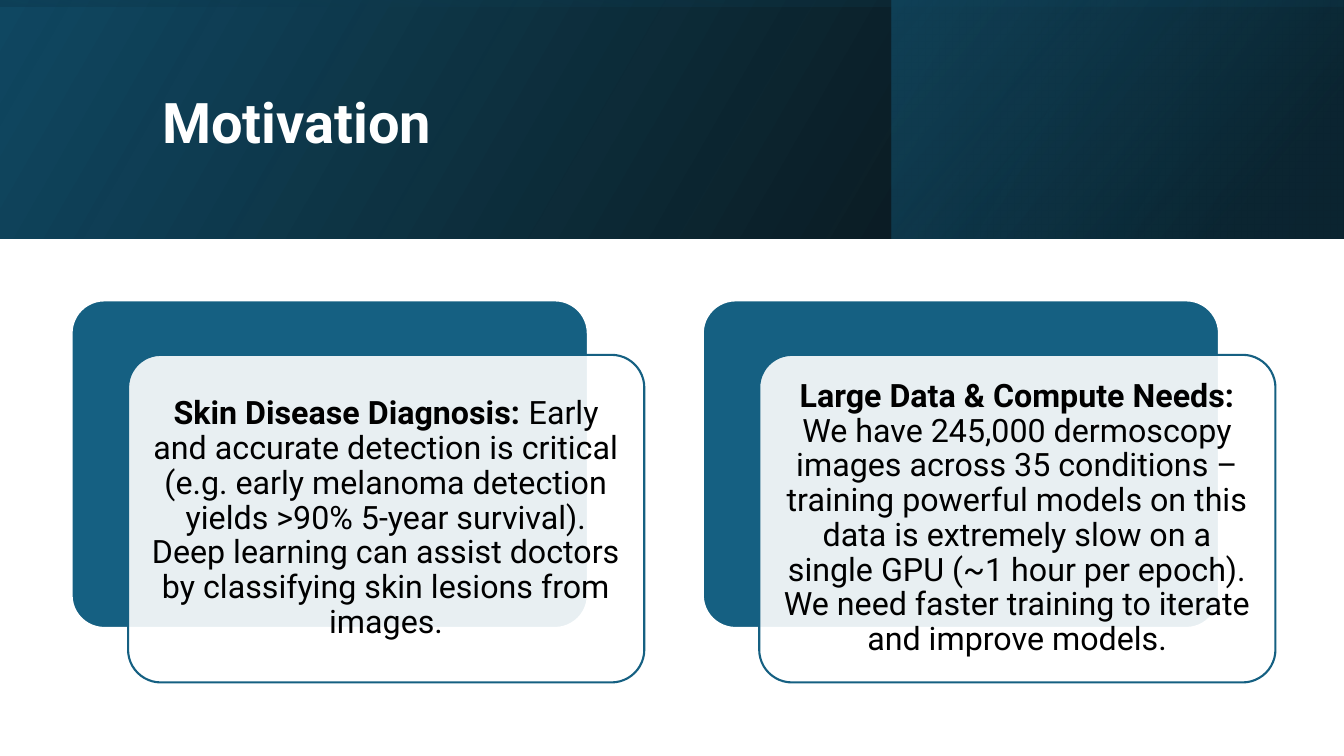
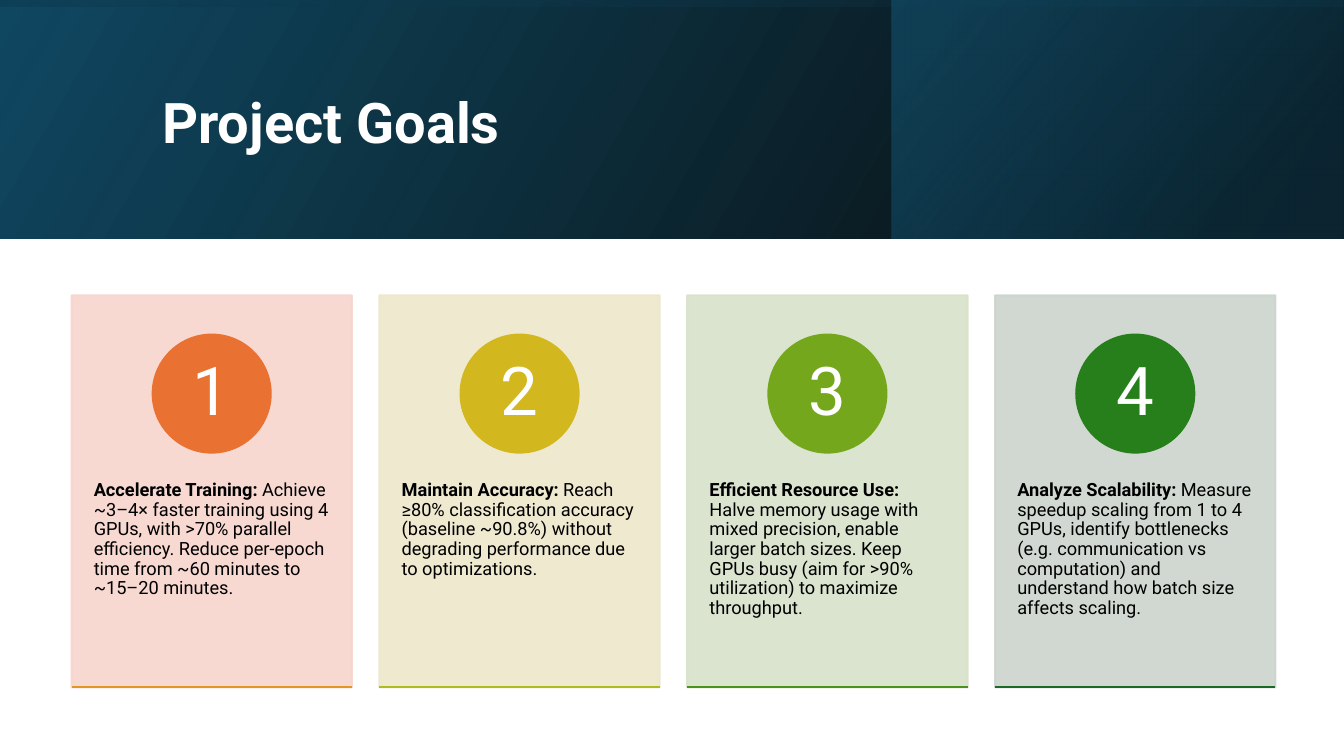
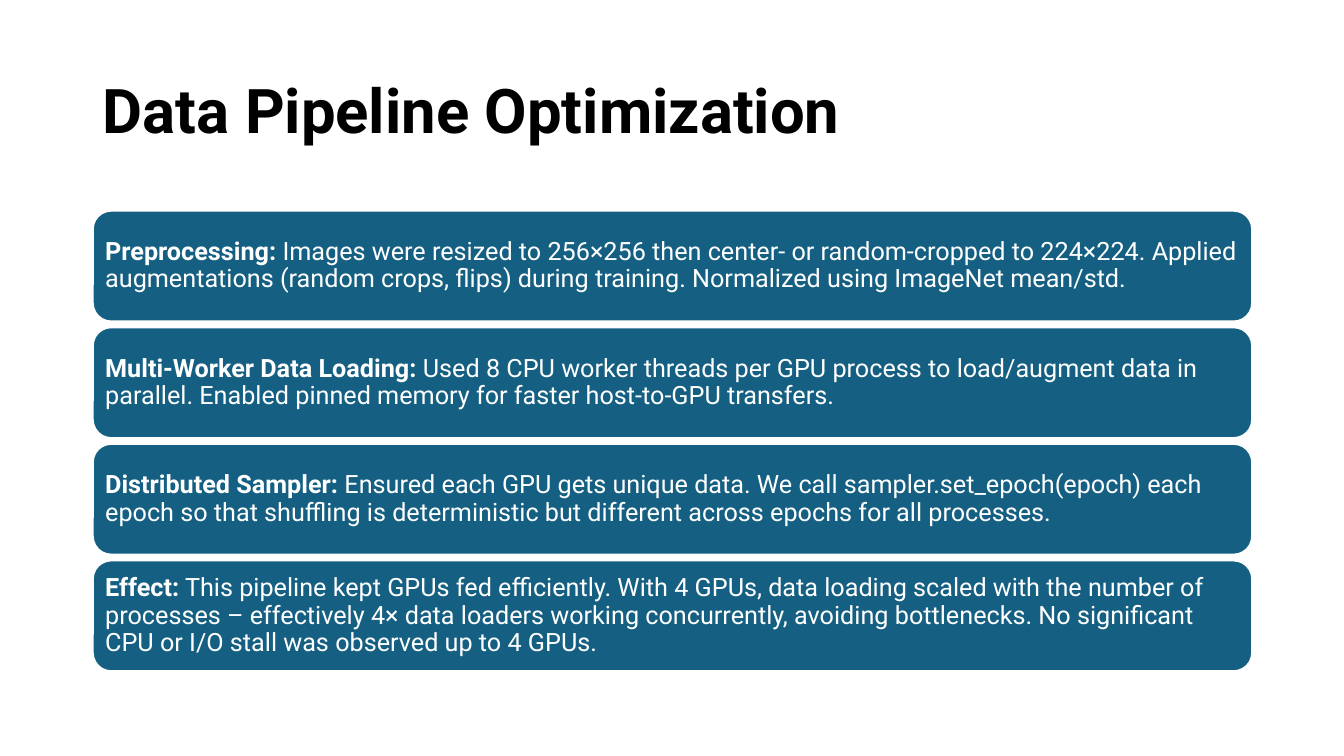
from pptx import Presentation
from pptx.dml.color import RGBColor
from pptx.enum.shapes import MSO_CONNECTOR as Connector, MSO_SHAPE as Preset
from pptx.enum.text import MSO_ANCHOR as Anchor, MSO_AUTO_SIZE as AutoSize, PP_ALIGN as Align
from pptx.oxml.ns import qn
from pptx.util import Inches, Pt
from lxml import etree

FONT = "Roboto"
TEAL, DEEP_TEAL, NAVY = "156082", "104862", "0B3041"
WHITE, BLACK = "FFFFFF", "000000"
SLIDE_WIDTH, SLIDE_HEIGHT, BAND_HEIGHT = 13.33, 7.5, 2.37
LINE_WIDTH = 1.5

# box, rotation, drawing angle, stops as (position, colour, opacity)
BANDS = [
    ((0, 0, SLIDE_WIDTH, BAND_HEIGHT), 0, 330,
     [(0, BLACK, 96), (100, DEEP_TEAL, None)]),
    ((8.84, 0, 4.48, BAND_HEIGHT), 0, 320,
     [(19, NAVY, 68), (100, TEAL, 48)]),
    ((5.48, -5.48, BAND_HEIGHT, SLIDE_WIDTH), 270, 350,
     [(23, DEEP_TEAL, 16), (99, BLACK, 45)]),
]

MOTIVATIONS = [
    ("Skin Disease Diagnosis:",
     " Early and accurate detection is critical (e.g. early melanoma detection yields "
     ">90% 5-year survival). Deep learning can assist doctors by classifying skin "
     "lesions from images."),
    ("Large Data & Compute Needs:",
     " We have 245,000 dermoscopy images across 35 conditions – training powerful "
     "models on this data is extremely slow on a single GPU (~1 hour per epoch). "
     "We need faster training to iterate and improve models."),
]

# heading, detail, card colour, badge colour, rule colour
GOALS = [
    ("Accelerate Training:",
     " Achieve ~3–4× faster training using 4 GPUs, with >70% parallel efficiency. "
     "Reduce per-epoch time from ~60 minutes to ~15–20 minutes.",
     "F7D5CE", "E97132", "E49622"),
    ("Maintain Accuracy:",
     " Reach ≥80% classification accuracy (baseline ~90.8%) without degrading "
     "performance due to optimizations.",
     "EEE7CB", "D2B81E", "ABBC1E"),
    ("Efficient Resource Use:",
     " Halve memory usage with mixed precision, enable larger batch sizes. Keep GPUs "
     "busy (aim for >90% utilization) to maximize throughput.",
     "D8E2CA", "75A71D", "49931D"),
    ("Analyze Scalability:",
     " Measure speedup scaling from 1 to 4 GPUs, identify bottlenecks (e.g. "
     "communication vs computation) and understand how batch size affects scaling.",
     "CCD4CD", "277F1B", "196B24"),
]

PIPELINE_STEPS = [
    ("Preprocessing:",
     " Images were resized to 256×256 then center- or random-cropped to 224×224. "
     "Applied augmentations (random crops, flips) during training. Normalized using "
     "ImageNet mean/std."),
    ("Multi-Worker Data Loading:",
     " Used 8 CPU worker threads per GPU process to load/augment data in parallel. "
     "Enabled pinned memory for faster host-to-GPU transfers."),
    ("Distributed Sampler:",
     " Ensured each GPU gets unique data. We call sampler.set_epoch(epoch) each epoch "
     "so that shuffling is deterministic but different across epochs for all processes."),
    ("Effect:",
     " This pipeline kept GPUs fed efficiently. With 4 GPUs, data loading scaled with "
     "the number of processes – effectively 4× data loaders working concurrently, "
     "avoiding bottlenecks. No significant CPU or I/O stall was observed up to 4 GPUs."),
]


def rgb(hex_colour):
    return RGBColor.from_string(hex_colour)


def apply(target, values):
    for name, value in values.items():
        setattr(target, name, value)


def set_opacity(shape, *percents):
    """Set opacity on the shape's colours in order: fill or stops, then line."""
    for colour, percent in zip(shape.element.spPr.iter(qn("a:srgbClr")), percents):
        if percent is not None:
            etree.SubElement(colour, qn("a:alpha"), val=str(percent * 1000))


class Deck:
    def __init__(self):
        self.prs = Presentation()
        self.prs.slide_width = Inches(SLIDE_WIDTH)
        self.prs.slide_height = Inches(SLIDE_HEIGHT)
        self.slide = None

    def add_slide(self):
        self.slide = self.prs.slides.add_slide(self.prs.slide_layouts[5])

    def set_text(self, shape, runs, size, colour, align=Align.LEFT, anchor=Anchor.MIDDLE,
                 insets=(0.1, 0.05, 0.05)):
        """Fill a shape with one paragraph; runs are (text, bold), insets (side, top, bottom)."""
        side, top, bottom = map(Inches, insets)
        frame = shape.text_frame
        apply(frame, {"word_wrap": True, "auto_size": AutoSize.NONE,
                      "vertical_anchor": anchor, "margin_left": side,
                      "margin_right": side, "margin_top": top, "margin_bottom": bottom})
        paragraph = frame.paragraphs[0]
        apply(paragraph, {"alignment": align, "line_spacing": 0.9})
        for text, bold in runs:
            run = paragraph.add_run()
            run.text = text
            apply(run.font, {"name": FONT, "size": Pt(size), "bold": bold})
            run.font.color.rgb = rgb(colour)

    def title(self, text, box, size, colour):
        title = self.slide.shapes.title
        apply(title, dict(zip(("left", "top", "width", "height"), map(Inches, box))))
        self.set_text(title, [(text, True)], size, colour)
        title.element.getparent().append(title.element)  # in front of the bands

    def shape(self, preset, box, fill, line):
        shape = self.slide.shapes.add_shape(preset, *map(Inches, box))
        shape.shadow.inherit = False
        shape.fill.solid()
        shape.fill.fore_color.rgb = rgb(fill)
        shape.line.color.rgb = rgb(line)
        shape.line.width = Pt(LINE_WIDTH)
        return shape

    def band(self, box, rotation, angle, stops):
        band = self.slide.shapes.add_shape(Preset.RECTANGLE, *map(Inches, box))
        band.shadow.inherit = False
        band.rotation = rotation
        band.element.spPr.xfrm.set("flipH", "1")
        band.line.fill.background()
        band.fill.gradient()
        band.fill.gradient_angle = 360 - angle
        for stop, (position, colour, _) in zip(band.fill.gradient_stops, stops):
            stop.position = position / 100
            stop.color.rgb = rgb(colour)
        set_opacity(band, *(opacity for _, _, opacity in stops))

    def rule(self, left, top, width, colour):
        rule = self.slide.shapes.add_connector(
            Connector.STRAIGHT, *map(Inches, (left, top, left + width, top)))
        rule.line.color.rgb = rgb(colour)
        rule.line.width = Pt(LINE_WIDTH)
        etree.SubElement(rule.element.spPr, qn("a:effectLst"))

    def banded_slide(self, title):
        self.add_slide()
        for band in BANDS:
            self.band(*band)
        self.title(title, (1.51, 0.38, 10.63, 1.72), 40, WHITE)

    def motivation_card(self, left, top, heading, detail):
        width, height = 5.12, 3.25
        back = self.shape(Preset.ROUNDED_RECTANGLE, (left, top, width, height), TEAL, WHITE)
        front = self.shape(Preset.ROUNDED_RECTANGLE,
                           (left + 0.56, top + 0.54, width, height), WHITE, TEAL)
        for panel in (back, front):
            panel.adjustments[0] = 0.1
        set_opacity(front, 90)
        self.set_text(front, [(heading, True), (detail, False)], 23, BLACK,
                      align=Align.CENTER, insets=(0.1, 0.1, 0.1))

    def goal_card(self, left, number, heading, detail, tint, badge_colour, rule_colour):
        top, width, height, diameter = 2.93, 2.78, 3.89, 1.17
        card = self.shape(Preset.RECTANGLE, (left, top, width, height), tint, tint)
        set_opacity(card, 90, 90)
        self.set_text(card, [(heading, True), (detail, False)], 13, BLACK,
                      anchor=Anchor.TOP, insets=(0.22, 1.84, 0.44))
        badge = self.shape(
            Preset.OVAL, (left + (width - diameter) / 2, top + 0.39, diameter, diameter),
            badge_colour, badge_colour)
        self.set_text(badge, [(str(number), False)], 48, WHITE, align=Align.CENTER,
                      insets=(0.09, 0.01, 0.01))
        self.rule(left, top + height, width, rule_colour)

    def step_bar(self, top, heading, detail):
        bar = self.shape(Preset.ROUNDED_RECTANGLE, (0.92, top, 11.5, 1.1), TEAL, WHITE)
        self.set_text(bar, [(heading, True), (detail, False)], 18, WHITE,
                      insets=(0.07, 0.07, 0.07))


def main():
    deck = Deck()

    deck.banded_slide("Motivation")
    for column, motivation in enumerate(MOTIVATIONS):
        deck.motivation_card(0.71 + column * 6.26, 2.98, *motivation)

    deck.banded_slide("Project Goals")
    goal_pitch = (9.87 - 0.71) / (len(GOALS) - 1)
    for column, goal in enumerate(GOALS):
        deck.goal_card(0.71 + column * goal_pitch, column + 1, *goal)

    deck.add_slide()
    deck.title("Data Pipeline Optimization", (0.92, 0.4, 11.5, 1.45), 44, BLACK)
    step_pitch = (5.56 - 2.09) / (len(PIPELINE_STEPS) - 1)
    for row, step in enumerate(PIPELINE_STEPS):
        deck.step_bar(2.09 + row * step_pitch, *step)

    deck.prs.save("out.pptx")


if __name__ == "__main__":
    main()
